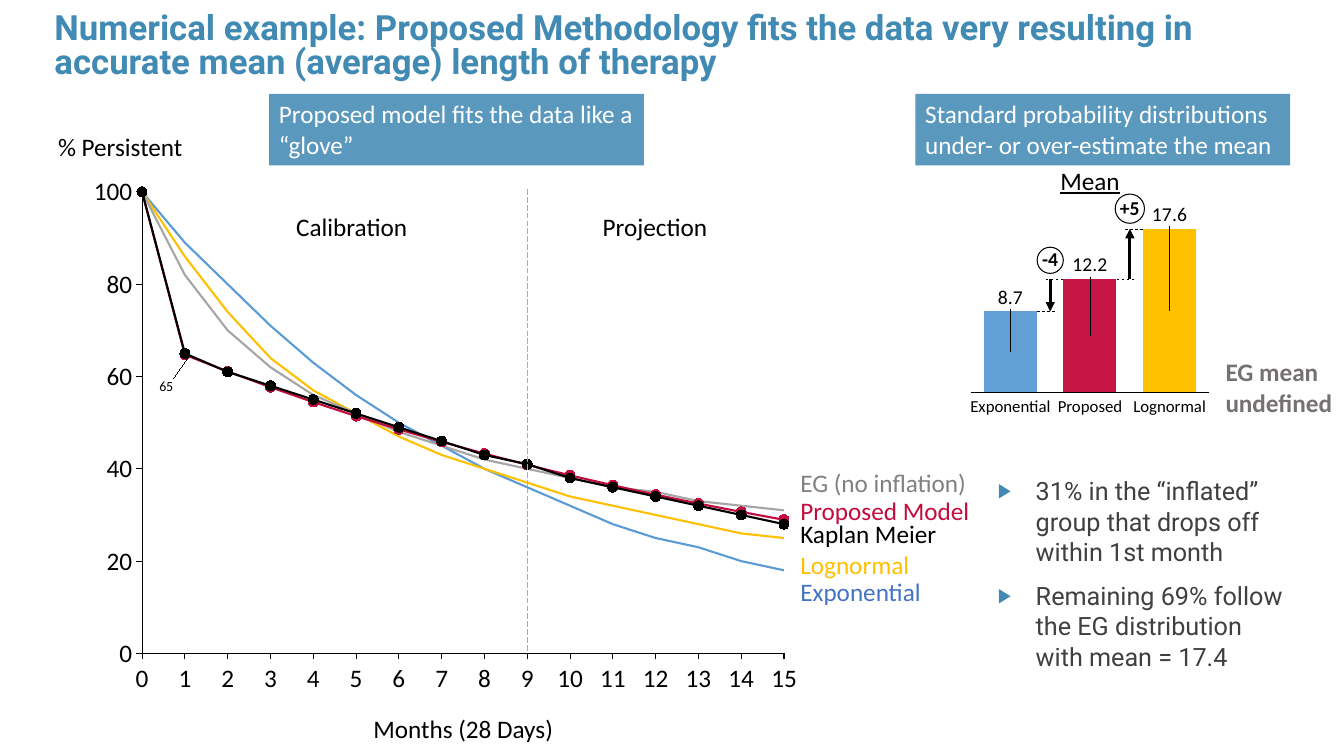
from pptx import Presentation
from pptx.chart.data import CategoryChartData, XyChartData
from pptx.dml.color import RGBColor
from pptx.enum.chart import XL_CHART_TYPE, XL_MARKER_STYLE, XL_TICK_LABEL_POSITION, XL_TICK_MARK
from pptx.enum.dml import MSO_LINE
from pptx.enum.shapes import MSO_CONNECTOR, MSO_SHAPE
from pptx.enum.text import MSO_ANCHOR, MSO_AUTO_SIZE, PP_ALIGN
from pptx.oxml import parse_xml
from pptx.oxml.ns import nsdecls, qn
from pptx.util import Pt

SCATTER, STACKED = XL_CHART_TYPE.XY_SCATTER_LINES_NO_MARKERS, XL_CHART_TYPE.COLUMN_STACKED
CIRCLE, OUT, NO_TICK = XL_MARKER_STYLE.CIRCLE, XL_TICK_MARK.OUTSIDE, XL_TICK_MARK.NONE
NO_LABEL = XL_TICK_LABEL_POSITION.NONE
DASH, LONG = MSO_LINE.DASH, MSO_LINE.LONG_DASH
STRAIGHT, RECT, OVAL = MSO_CONNECTOR.STRAIGHT, MSO_SHAPE.RECTANGLE, MSO_SHAPE.OVAL
TOP, MIDDLE, FIXED = MSO_ANCHOR.TOP, MSO_ANCHOR.MIDDLE, MSO_AUTO_SIZE.NONE
LEFT, CENTER, RIGHT = PP_ALIGN.LEFT, PP_ALIGN.CENTER, PP_ALIGN.RIGHT

HEX = {"black": "000000", "white": "FFFFFF", "title": "418AB3", "banner": "5A99BD",
       "red": "C30C3E", "gray": "A5A5A5", "gold": "FFC000", "blue": "5B9BD5",
       "eg": "808080", "expo": "4472C4", "split": "AFABAB", "note": "767171",
       "body": "404040", "bar1": "639FD7", "bar2": "C51646"}
CURVES = [
    ("Kaplan Meier", "black", [100, 65, 61, 58, 55, 52, 49, 46, 43, 41, 38, 36, 34, 32, 30, 28]),
    ("Proposed Model", "red", [100, 64.71, 61.1, 57.68, 54.46, 51.42, 48.55, 45.84, 43.28, 40.86,
                               38.58, 36.43, 34.39, 32.47, 30.66, 28.95]),
    ("EG (no inflation)", "gray", [100, 82, 70, 62, 56, 52, 48, 45, 42, 40, 38, 36, 35, 33, 32, 31]),
    ("Lognormal", "gold", [100, 86, 74, 64, 57, 52, 47, 43, 40, 37, 34, 32, 30, 28, 26, 25]),
    ("Exponential", "blue", [100, 89, 80, 71, 63, 56, 50, 45, 40, 36, 32, 28, 25, 23, 20, 18]),
]
KEYS = [("EG (no inflation)", "eg", 211.6), ("Proposed Model", "red", 231.8),
        ("Kaplan Meier", "black", 248.4), ("Lognormal", "gold", 270), ("Exponential", "expo", 289.4)]
MEANS = [("Exponential", 8.7, "bar1"), ("Proposed", 12.2, "bar2"), ("Lognormal", 17.6, "gold")]
STEPS = [("-4", 18.7), ("+5", 20.9)]


def rgb(key):
    return RGBColor.from_string(HEX[key])


def style(font, size, color="black", face="Calibri", bold=False):
    font.name, font.size, font.bold = face, Pt(size), bold
    font.color.rgb = rgb(color)


def write(shape, text, size=18, color="black", align=LEFT, bold=False, wrap=True,
          anchor=TOP, flush=False, space=None):
    frame = shape.text_frame
    frame.text, frame.word_wrap, frame.vertical_anchor = text, wrap, anchor
    if flush:
        frame.margin_left = frame.margin_right = frame.margin_top = frame.margin_bottom = 0
    para = frame.paragraphs[0]
    para.alignment, para.line_spacing = align, space
    style(para.runs[0].font, size, color, bold=bold)
    return para.runs[0]


def label(slide, box, text, **look):
    return write(slide.shapes.add_textbox(*map(Pt, box)), text, **look)


def tag(slide, box, text, **look):
    return label(slide, box, text, wrap=False, flush=True, **look)


def solid(slide, kind, box, fill):
    shape = slide.shapes.add_shape(kind, *map(Pt, box))
    shape.shadow.inherit = False
    shape.fill.solid()
    shape.fill.fore_color.rgb = rgb(fill)
    shape.line.fill.background()
    return shape


def rule(slide, x1, y1, x2, y2, color="black", width=0.5, dash=None, arrow=False):
    line = slide.shapes.add_connector(STRAIGHT, Pt(x1), Pt(y1), Pt(x2), Pt(y2))
    line.line.color.rgb, line.line.width = rgb(color), Pt(width)
    if dash:
        line.line.dash_style = dash
    props = line.element.xpath("p:spPr")[0]
    if arrow:
        props.find(qn("a:ln")).append(parse_xml(f'<a:tailEnd {nsdecls("a")} type="triangle"/>'))
    props.append(parse_xml(f'<a:effectLst {nsdecls("a")}/>'))


def layout(extra, **marks):
    inner = "".join(f'<c:{k} val="{v}"/>' for k, v in marks.items())
    return parse_xml(f'<c:layout {nsdecls("c")}><c:manualLayout>{extra}{inner}'
                     '</c:manualLayout></c:layout>')


def add_chart(slide, kind, box, data, plot):
    chart = slide.shapes.add_chart(kind, *map(Pt, box), data).chart
    chart.has_legend = chart.has_title = False
    style(chart.font, 10)
    chart.plots[0].vary_by_categories = False
    area = chart.element.xpath("c:chart/c:plotArea")[0]
    for old in area.findall(qn("c:layout")):
        area.remove(old)
    area.insert(0, layout('<c:layoutTarget val="inner"/>', xMode="edge", yMode="edge",
                          x=plot[0], y=plot[1], w=plot[2], h=plot[3]))
    for axis in (chart.category_axis, chart.value_axis):
        axis.has_major_gridlines = False
        axis.minor_tick_mark = NO_TICK
        axis.format.line.color.rgb, axis.format.line.width = rgb("black"), Pt(0.75)
    x, y, w, h = box
    return chart, (x + plot[0] * w, y + plot[1] * h, plot[2] * w, plot[3] * h)


def shift(chart, moves, code):
    """Move the value labels by fractions of the chart and join them with leader lines."""
    for item, (dx, dy) in zip(chart.element.xpath(".//c:dLbl"), moves):
        item.insert(1, layout("", x=dx, y=dy))
        item.insert(2, parse_xml(f'<c:numFmt {nsdecls("c")} formatCode="{code}" sourceLinked="0"/>'))
    for group in chart.element.xpath(".//c:dLbls"):
        group.find(qn("c:showVal")).set("val", "0")
        group.append(parse_xml(
            f'<c:extLst {nsdecls("c")}><c:ext uri="{{CE6537A1-D6FC-4f65-9D91-7224C49458BB}}" '
            'xmlns:c15="http://schemas.microsoft.com/office/drawing/2012/chart">'
            '<c15:showLeaderLines val="1"/></c:ext></c:extLst>'))


def head(slide, box, text):
    title = slide.shapes.title
    title.left, title.top, title.width, title.height = map(Pt, box)
    write(title, text, 24.8, "title", bold=True, space=0.8).font.name = "Roboto"
    title.text_frame.auto_size = FIXED


def banner(slide, box, text):
    write(solid(slide, RECT, box, "banner"), text, color="white")


def curves(slide, box):
    x, y, w, h = box
    data = XyChartData()
    for name, _, vals in CURVES:
        series = data.add_series(name)
        for month, val in enumerate(vals):
            series.add_data_point(month, val)
    chart, (px, py, pw, ph) = add_chart(slide, SCATTER, box, data, (0.098, 0.033, 0.856, 0.869))
    for axis, end, unit, code in ((chart.category_axis, 15, 1, '0;"-"0'),
                                  (chart.value_axis, 100, 20, '#,##0;"-"#,##0')):
        axis.minimum_scale, axis.maximum_scale, axis.major_unit = 0, end, unit
        axis.major_tick_mark = OUT
        style(axis.tick_labels.font, 18)
        axis.tick_labels.number_format, axis.tick_labels.number_format_is_linked = code, False
    for series, (_, color, _) in zip(chart.plots[0].series, CURVES):
        series.smooth = False
        series.format.line.color.rgb, series.format.line.width = rgb(color), Pt(1.5)
        if color in ("black", "red"):
            mark = series.marker
            mark.style, mark.size = CIRCLE, 7
            mark.format.fill.solid()
            mark.format.fill.fore_color.rgb = mark.format.line.color.rgb = rgb(color)
    style(chart.plots[0].series[1].points[1].data_label.font, 10)
    shift(chart, [(-0.046, 0.06)], "0")
    # Axis titles, phases and curve names
    tag(slide, (x - 17.2, y - 31, 98.6, 21.6), "% Persistent", align=RIGHT)
    tag(slide, (x + 207.4, y + 385.2, 148.9, 21.6), "Months (28 Days)", align=CENTER)
    for left, text in ((155.5, "Calibration"), (374.4, "Projection")):
        label(slide, (x + left, y + 23, 107.3, 28.8), text)
    split = px + pw * 9 / 15
    rule(slide, split, py - 2, split, py + ph - 2, "split", dash=LONG)
    for text, color, top in KEYS:
        tag(slide, (x + 522.7, y + top, 130, 16.6), text, color=color, anchor=MIDDLE)


def means(slide, box):
    x, y, w, h = box
    peak = max(val for _, val, _ in MEANS)
    data = CategoryChartData()
    data.categories = [str(i + 1) for i in range(len(MEANS))]
    data.add_series("Mean", [val for _, val, _ in MEANS])
    chart, (px, py, pw, ph) = add_chart(slide, STACKED, box, data, (0.035, 0.141, 0.929, 0.814))
    chart.plots[0].gap_width, chart.plots[0].overlap = 50, 100
    chart.category_axis.major_tick_mark = NO_TICK
    chart.category_axis.tick_label_position = NO_LABEL
    scale = chart.value_axis
    scale.minimum_scale, scale.maximum_scale, scale.visible = 0, peak, False
    slot = pw / len(MEANS)
    for i, (name, _, color) in enumerate(MEANS):
        point = chart.plots[0].series[0].points[i]
        point.format.fill.solid()
        point.format.fill.fore_color.rgb = rgb(color)
        style(point.data_label.font, 14)
        tag(slide, (px + slot * i - 6, y + 141.1, slot + 12, 13), name, size=12,
            align=CENTER, space=0.9)
    shift(chart, [(0, round(-0.07 - 0.407 * val / peak, 3)) for _, val, _ in MEANS], "0.0")
    # Differences from the proposed model
    tops = [py + ph * (1 - val / peak) for _, val, _ in MEANS]
    for i, (text, size) in enumerate(STEPS):
        mid, gap = px + slot * (i + 1), slot / 6
        rule(slide, mid - gap, tops[i], mid + 3.5, tops[i], dash=DASH)
        rule(slide, mid + gap, tops[i + 1], mid - 3.5, tops[i + 1], dash=DASH)
        rule(slide, mid, tops[1], mid, tops[2 * i], width=2.25, arrow=True)
        low = min(tops[i:i + 2]) - 4
        disc = solid(slide, OVAL, (mid - size / 2, low - size, size, size), "white")
        disc.line.color.rgb, disc.line.width = rgb("black"), Pt(0.75)
        write(disc, text, 14, align=CENTER, bold=True, wrap=False, anchor=MIDDLE,
              flush=True, space=0.9)
    label(slide, (px + pw / 2 - 44.6, y - 28.8, 89.3, 28.8), "Mean",
          align=CENTER).font.underline = True
    label(slide, (x + 181.4, y + 108, 91.4, 51.1), "EG mean undefined", color="note", bold=True)


def points(slide, box, items):
    body = slide.placeholders[1]
    body.left, body.top, body.width, body.height = map(Pt, box)
    frame = body.text_frame
    frame.text = "\n".join(items)
    frame.auto_size, frame.vertical_anchor = FIXED, TOP
    for i, para in enumerate(frame.paragraphs):
        props = para._p.get_or_add_pPr()
        props.set("marL", str(Pt(27)))
        props.set("indent", str(-Pt(27)))
        for bit in (f'<a:buClr {nsdecls("a")}><a:srgbClr val="{HEX["title"]}"/></a:buClr>',
                    f'<a:buSzPct {nsdecls("a")} val="80000"/>',
                    f'<a:buChar {nsdecls("a")} char="▶"/>'):
            props.append(parse_xml(bit))
        para.space_before = Pt(10 if i else 0)
        style(para.runs[0].font, 18, "body", "Roboto")


def main():
    deck = Presentation()
    deck.slide_width, deck.slide_height = Pt(960), Pt(540)
    slide = deck.slides.add_slide(deck.slide_layouts[1])
    head(slide, (31.7, 6.5, 881.3, 58.3), "Numerical example: Proposed Methodology fits the data "
         "very resulting in accurate mean (average) length of therapy")
    curves(slide, (49, 124.6, 535.7, 379.4))
    means(slide, (686.9, 143.3, 183.6, 143.3))
    banner(slide, (192.2, 67, 267.8, 51.1), "Proposed model fits the data like a “glove”")
    banner(slide, (653.8, 67, 267.8, 51.1),
           "Standard probability distributions under- or over-estimate the mean")
    points(slide, (705.6, 336.2, 223.9, 159.8),
           ["31% in the “inflated” group that drops off within 1st month",
            "Remaining 69% follow the EG distribution with mean = 17.4"])
    deck.save("out.pptx")


if __name__ == "__main__":
    main()
